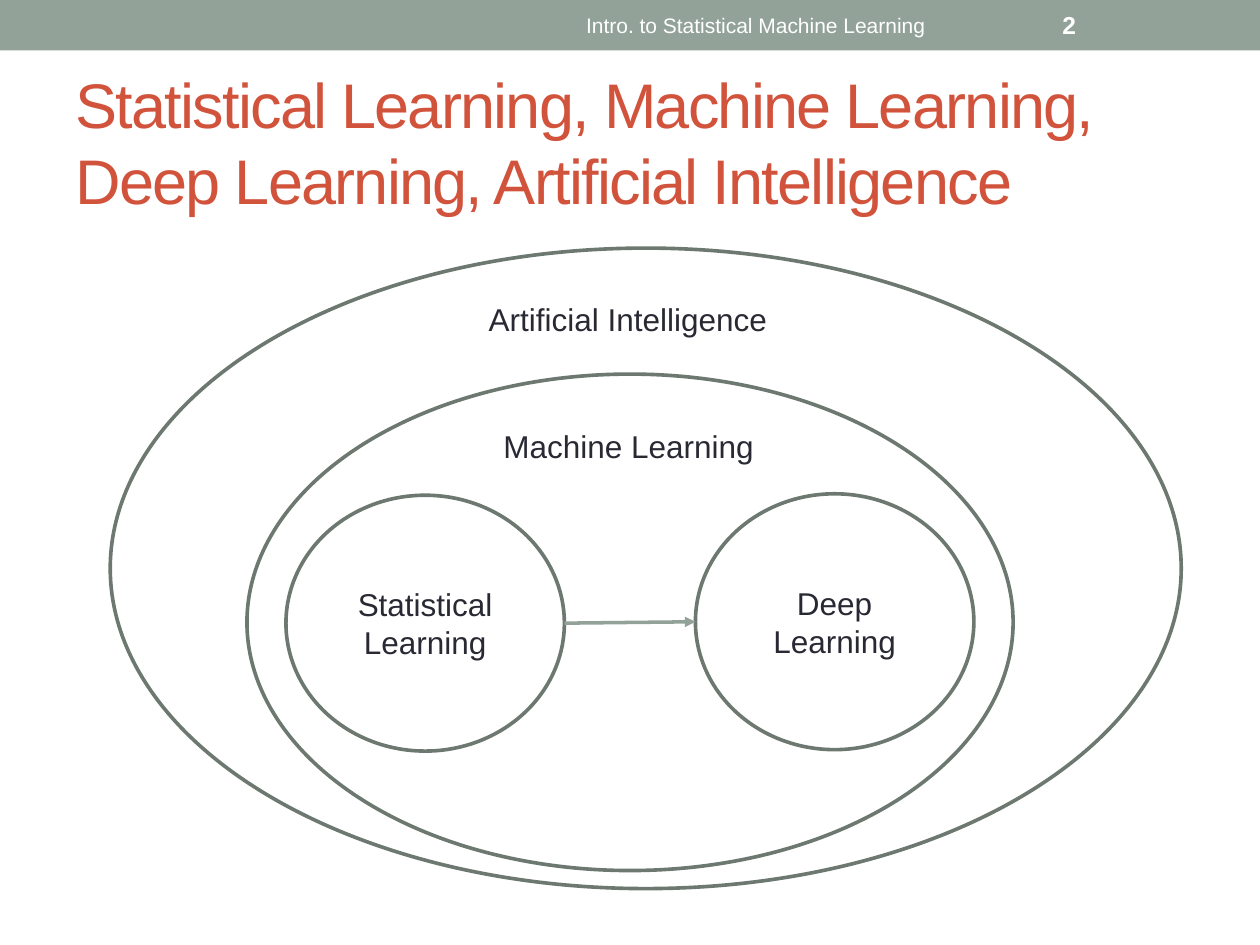
from lxml import etree
from pptx import Presentation
from pptx.dml.color import RGBColor
from pptx.enum.shapes import MSO_CONNECTOR, MSO_SHAPE
from pptx.enum.text import MSO_ANCHOR, PP_ALIGN
from pptx.oxml.ns import qn
from pptx.util import Pt

OVAL = MSO_SHAPE.OVAL
RECT = MSO_SHAPE.RECTANGLE
LINE = MSO_CONNECTOR.STRAIGHT
MID = MSO_ANCHOR.MIDDLE
TOP = MSO_ANCHOR.TOP
LEFT = PP_ALIGN.LEFT
MIDDLE = PP_ALIGN.CENTER

SAGE = RGBColor(0x93, 0xA2, 0x99)
EDGE = RGBColor(0x6D, 0x78, 0x71)
RUST = RGBColor(0xD2, 0x53, 0x3C)
INK = RGBColor(0x29, 0x29, 0x34)
WHITE = RGBColor(0xFF, 0xFF, 0xFF)


def write(shape, text, size, color, align=LEFT, anchor=MID, wrap=True):
    frame = shape.text_frame
    frame.word_wrap = wrap
    frame.vertical_anchor = anchor
    para = frame.paragraphs[0]
    para.text = text
    para.alignment = align
    para.font.name = "Arial"
    para.font.size = Pt(size)
    para.font.color.rgb = color
    return para


def add_text(slide, box, *args, **style):
    shape = slide.shapes.add_textbox(*map(Pt, box))
    return write(shape, *args, **style)


def add_label(slide, box, text):
    add_text(slide, box, text, 18, INK, anchor=TOP, wrap=False)


def add_bar(slide, box):
    bar = slide.shapes.add_shape(RECT, *map(Pt, box))
    bar.shadow.inherit = False
    bar.fill.solid()
    bar.fill.fore_color.rgb = SAGE
    bar.line.fill.background()


def add_oval(slide, box, text=None):
    oval = slide.shapes.add_shape(OVAL, *map(Pt, box))
    oval.shadow.inherit = False
    oval.fill.background()
    oval.line.color.rgb = EDGE
    oval.line.width = Pt(2.08)
    if text:
        write(oval, text, 18, INK, MIDDLE)


def add_arrow(slide, start, end):
    arrow = slide.shapes.add_connector(LINE, *map(Pt, start + end))
    arrow.line.color.rgb = SAGE
    arrow.line.width = Pt(2)
    stroke = arrow.line._get_or_add_ln()
    etree.SubElement(stroke, qn("a:tailEnd"), type="triangle")
    etree.SubElement(arrow._element.spPr, qn("a:effectLst"))


def main():
    deck = Presentation()
    deck.slide_width, deck.slide_height = Pt(720), Pt(540)
    slide = deck.slides.add_slide(deck.slide_layouts[6])

    add_bar(slide, (0, 0, 720, 28.8))
    title = add_text(
        slide, (36, 41.8, 648, 77.8),
        "Statistical Learning, Machine Learning, "
        "Deep Learning, Artificial Intelligence", 36, RUST)
    title.runs[0]._r.get_or_add_rPr().set("spc", "-100")
    add_text(slide, (270, 1.4, 324, 26),
             "Intro. to Statistical Machine Learning", 12, WHITE, align=MIDDLE)
    number = add_text(slide, (600, 1.4, 84, 26), "2", 14, WHITE)
    number.font.bold = True

    add_oval(slide, (141.1, 213.8, 437.8, 283.7))
    add_label(slide, (280.6, 240.7, 159, 29), "Machine Learning")
    add_oval(slide, (163.4, 283, 159.1, 146.2), "Statistical Learning")
    add_oval(slide, (397.4, 282.2, 159.1, 146.2), "Deep Learning")
    add_arrow(slide, (322.5, 356.1), (397.4, 355.3))
    add_oval(slide, (63, 141.8, 612, 366))
    add_label(slide, (272.2, 167.8, 175, 29), "Artificial Intelligence")

    deck.save("out.pptx")


if __name__ == "__main__":
    main()
